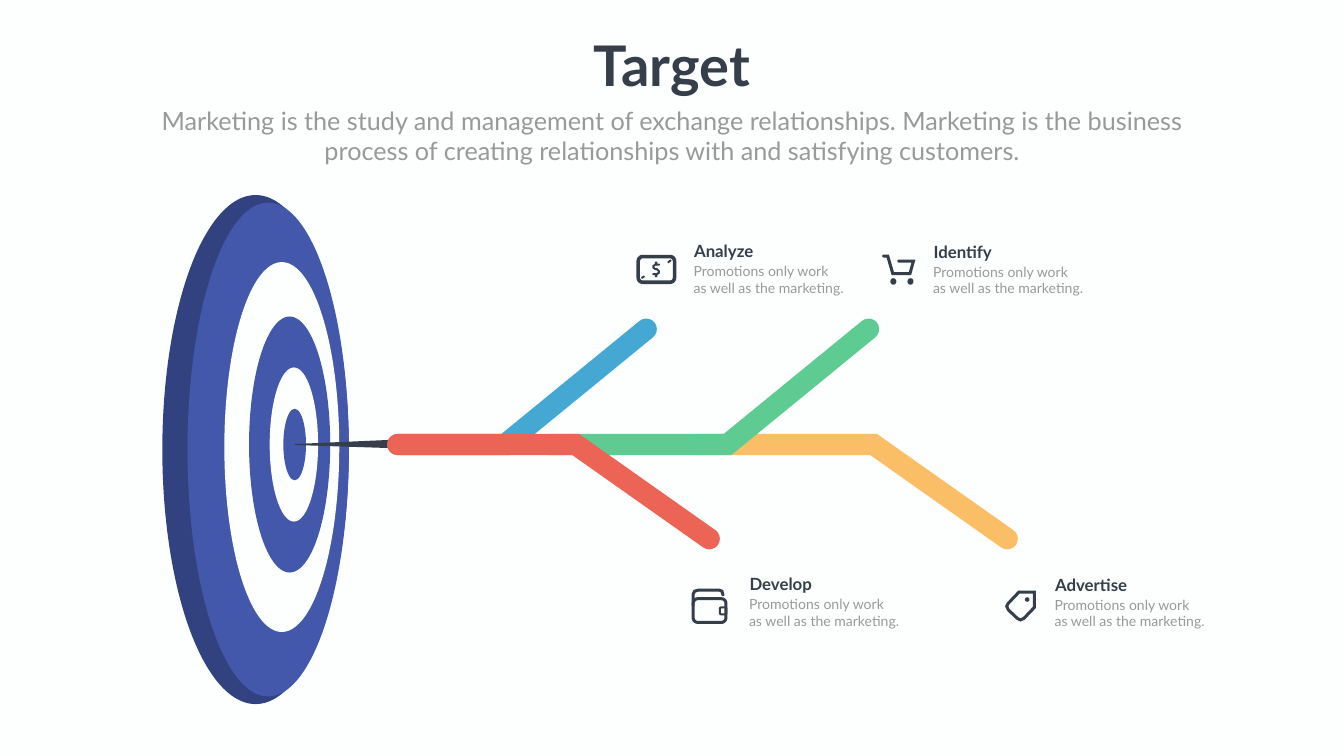
from math import atan2, cos, pi, remainder, sin, tau

from pptx import Presentation
from pptx.dml.color import RGBColor
from pptx.enum.shapes import MSO_SHAPE as Shape
from pptx.enum.text import MSO_AUTO_SIZE as AutoSize, PP_ALIGN as Align
from pptx.util import Emu, Pt

EMU_PER_PX = 9144  # 100 px to the inch
FONT = "Lato"

PAPER = RGBColor(0xFD, 0xFF, 0xFE)
INK = RGBColor(0x35, 0x3E, 0x49)
GREY = RGBColor(0x98, 0x99, 0x98)
NAVY = RGBColor(0x32, 0x42, 0x80)
INDIGO = RGBColor(0x43, 0x58, 0xAB)
BLUE = RGBColor(0x44, 0xA8, 0xD3)
YELLOW = RGBColor(0xF9, 0xBE, 0x66)
GREEN = RGBColor(0x5E, 0xCC, 0x92)
RED = RGBColor(0xEC, 0x64, 0x55)

RINGS = [
    ((322, 387, 370, 1010), NAVY),
    ((372, 402, 320, 980), INDIGO),
    ((445, 520, 228, 734), PAPER),
    ((494, 628, 161, 508), INDIGO),
    ((535, 729, 96, 306), PAPER),
    ((562, 811, 45, 142), INDIGO),
]

SHAFT_Y = 882
ARM_RADIUS = 21
RISE = (280, -229)
DROP = (265, 187)
# start x, bend x, step from the bend to the tip, colour
ARMS = [
    (789, 1002, RISE, BLUE),
    (1380, 1733, DROP, YELLOW),
    (1091, 1443, RISE, GREEN),
    (789, 1142, DROP, RED),
]

DETAIL = ["Promotions only work", "as well as the marketing."]
ITEMS = [
    ("Analyze", 1366, 473),
    ("Identify", 1841, 474),
    ("Develop", 1476, 1134),
    ("Advertise", 2082, 1135),
]


def px(value):
    return Emu(round(value * EMU_PER_PX))


def paint(shape, color):
    shape.shadow.inherit = False
    shape.fill.solid()
    shape.fill.fore_color.rgb = color
    shape.line.fill.background()


def add_preset(slide, kind, box, color):
    paint(slide.shapes.add_shape(kind, *map(px, box)), color)


def add_outline(slide, contours, color):
    """Fill one or more closed contours; an inner contour is a hole."""
    contours = [[(px(x), px(y)) for x, y in contour] for contour in contours]
    builder = slide.shapes.build_freeform(*contours[0][0], scale=1.0)
    builder.add_line_segments(contours[0][1:], close=True)
    for contour in contours[1:]:
        builder.move_to(*contour[0])
        builder.add_line_segments(contour[1:], close=True)
    paint(builder.convert_to_shape(), color)


def arc(center, radius, start, sweep, steps=10):
    angles = [start + sweep * step / steps for step in range(steps + 1)]
    return [(center[0] + radius * cos(a), center[1] + radius * sin(a)) for a in angles]


def headings(points, closed):
    """Direction of the edge that leaves each point."""
    ends = points[1:] + points[:1]
    angles = [atan2(b[1] - a[1], b[0] - a[0]) for a, b in zip(points, ends)]
    if not closed:
        angles[-1] = angles[-2]
    return angles


def offset(points, distance, closed):
    """Parallel polyline with mitred corners."""
    angles = headings(points, closed)
    shifted = []
    for i, (x, y) in enumerate(points):
        arriving = angles[i - 1] if i or closed else angles[0]
        half_turn = remainder(angles[i] - arriving, tau) / 2
        reach = distance / cos(half_turn)
        normal = arriving + half_turn + pi / 2
        shifted.append((x + reach * cos(normal), y + reach * sin(normal)))
    return shifted


def add_band(slide, points, radius, color, closed=False):
    """Strip of even width along a path; open paths get round ends."""
    one_side = offset(points, radius, closed)
    other_side = offset(points, -radius, closed)
    if closed:
        add_outline(slide, [one_side, other_side], color)
        return
    angles = headings(points, closed)
    end_cap = arc(points[-1], radius, angles[-1] + pi / 2, -pi)
    start_cap = arc(points[0], radius, angles[0] - pi / 2, -pi)
    outline = one_side[:-1] + end_cap + other_side[-2:0:-1] + start_cap[:-1]
    add_outline(slide, [outline], color)


def add_frame(slide, box, corner, radius):
    """Rounded frame whose centre line follows the box."""
    left, top, width, height = box
    right, bottom = left + width - corner, top + height - corner
    left, top = left + corner, top + corner
    centers = [(left, top), (right, top), (right, bottom), (left, bottom)]
    points = []
    for quarter, center in enumerate(centers):
        points += arc(center, corner, pi + quarter * pi / 2, pi / 2, steps=5)
    add_band(slide, points, radius, INK, closed=True)


def add_text(slide, box, lines, size, color, bold=False, align=Align.LEFT, wrap=True):
    frame = slide.shapes.add_textbox(*map(px, box)).text_frame
    frame.word_wrap = wrap
    frame.auto_size = AutoSize.SHAPE_TO_FIT_TEXT
    for i, line in enumerate(lines):
        paragraph = frame.add_paragraph() if i else frame.paragraphs[0]
        paragraph.alignment = align
        run = paragraph.add_run()
        run.text = line
        run.font.name = FONT
        run.font.size = Pt(size)
        run.font.bold = bold
        run.font.color.rgb = color


def add_tag_icon(slide):
    tag = [(2021, 1175), (2052, 1175), (2052, 1205), (2031, 1227), (2024, 1230),
           (2018, 1227), (2000, 1210), (1997, 1203), (2000, 1197)]
    add_band(slide, tag, 3, INK, closed=True)
    add_preset(slide, Shape.OVAL, (2033, 1185, 9, 9), INK)


def add_cart_icon(slide):
    cart = [(1753, 508), (1761, 508), (1771, 543), (1805, 543), (1812, 518), (1783, 518)]
    add_band(slide, cart, 3, INK)
    for left in (1766, 1800):
        add_preset(slide, Shape.OVAL, (left, 552, 12, 13), INK)


def add_banknote_icon(slide):
    add_frame(slide, (1266, 509, 72, 51), 9, 3.5)
    dollar = [(1307, 525), (1300, 525), (1296, 528), (1296, 531), (1300, 534),
              (1303, 534), (1307, 538), (1307, 541), (1303, 544), (1296, 544)]
    add_band(slide, dollar, 2, INK)
    for top in (519, 544):
        add_preset(slide, Shape.RECTANGLE, (1299, top, 5, 6), INK)
    for corner_mark in ([(1326, 520), (1330, 517)], [(1274, 551), (1277, 549)]):
        add_band(slide, corner_mark, 2, INK)


def add_wallet_icon(slide):
    add_frame(slide, (1428, 1205, 13, 14), 3, 2)
    add_frame(slide, (1375, 1188, 65, 47), 9, 3)
    flap = [(1375, 1200), (1375, 1179), (1378, 1173), (1385, 1171),
            (1427, 1171), (1432, 1173), (1434, 1180)]
    add_band(slide, flap, 3, INK)


def main():
    presentation = Presentation()
    presentation.slide_width, presentation.slide_height = px(2666), px(1500)
    slide = presentation.slides.add_slide(presentation.slide_layouts[6])
    slide.background.fill.solid()
    slide.background.fill.fore_color.rgb = PAPER

    for box, color in RINGS:
        add_preset(slide, Shape.OVAL, box, color)
    needle = [(585, 881), (770, 873), (770, 889), (585, 883)]
    add_outline(slide, [needle], INK)
    for start, bend, (dx, dy), color in ARMS:
        path_points = [(start, SHAFT_Y), (bend, SHAFT_Y), (bend + dx, SHAFT_Y + dy)]
        add_band(slide, path_points, ARM_RADIUS, color)

    for add_icon in (add_tag_icon, add_cart_icon, add_banknote_icon, add_wallet_icon):
        add_icon(slide)

    add_text(slide, (1158, 56, 350, 145), ["Target"], 80, INK,
             bold=True, align=Align.CENTER, wrap=False)
    add_text(slide, (292, 204, 2082, 131),
             ["Marketing is the study and management of exchange relationships. "
              "Marketing is the business process of creating relationships with "
              "and satisfying customers."], 36, GREY, align=Align.CENTER)
    for heading, left, top in ITEMS:
        add_text(slide, (left + 1, top, 229, 50), [heading], 24, INK, bold=True)
        add_text(slide, (left, top + 43, 407, 77), DETAIL, 20, GREY)

    presentation.save("out.pptx")


if __name__ == "__main__":
    main()
